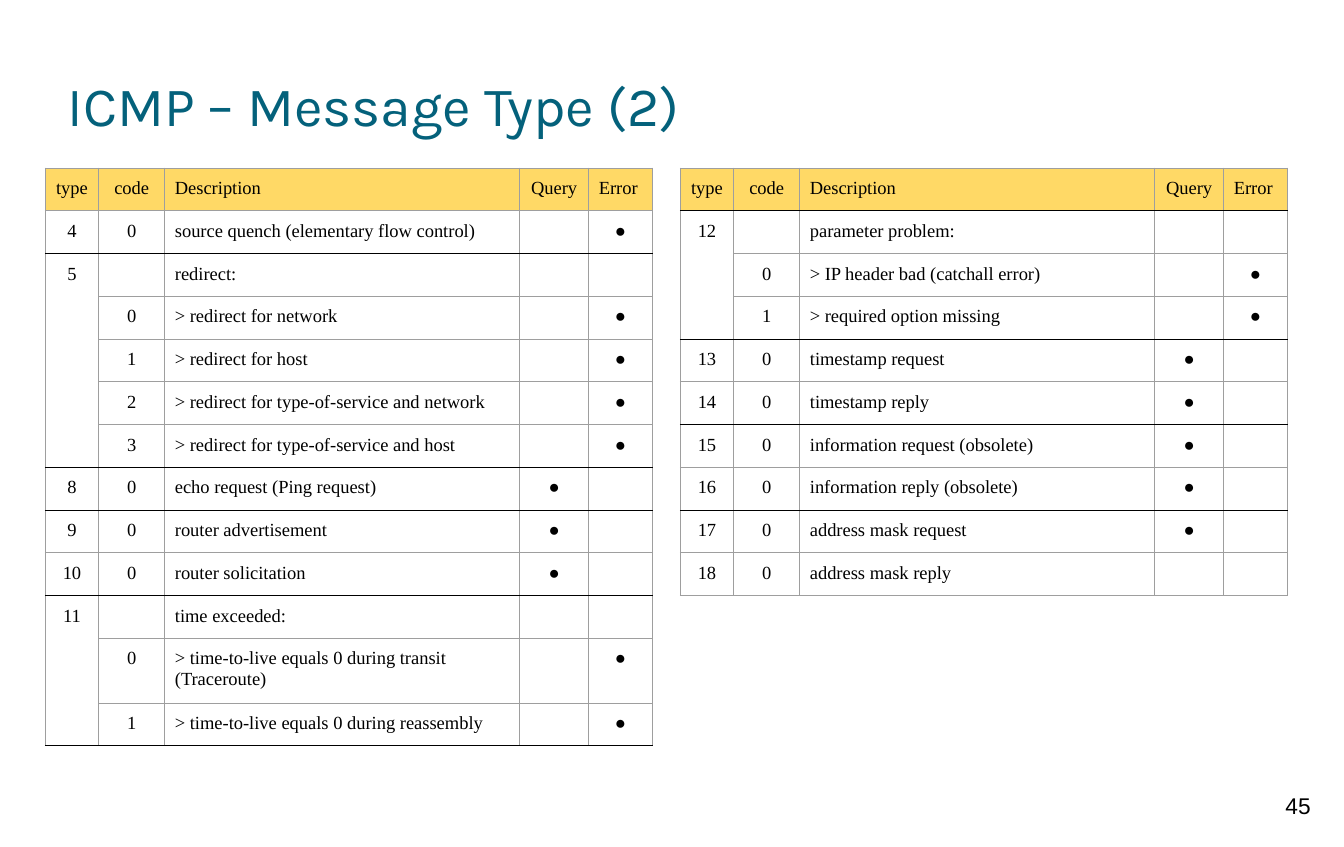
from lxml.etree import SubElement
from pptx import Presentation
from pptx.dml.color import RGBColor
from pptx.enum.text import MSO_ANCHOR, PP_ALIGN
from pptx.oxml.ns import qn
from pptx.util import Pt

TEAL = RGBColor(0x04, 0x61, 0x7B)
BLACK = RGBColor(0x00, 0x00, 0x00)
GREY = RGBColor(0x9E, 0x9E, 0x9E)
YELLOW = RGBColor(0xFF, 0xD9, 0x66)

HEADINGS = ("type", "code", "Description", "Query", "Error")
COLUMN_WIDTHS = (37.6, 46.4, 249.6, 48.5, 45)
QUERY, ERROR, NEITHER = ("●", ""), ("", "●"), ("", "")

# An empty type means that the row belongs to the type above it.
LEFT_MESSAGES = [
    ("4", "0", "source quench (elementary flow control)", *ERROR),
    ("5", "", "redirect:", *NEITHER),
    ("", "0", "> redirect for network", *ERROR),
    ("", "1", "> redirect for host", *ERROR),
    ("", "2", "> redirect for type-of-service and network", *ERROR),
    ("", "3", "> redirect for type-of-service and host", *ERROR),
    ("8", "0", "echo request (Ping request)", *QUERY),
    ("9", "0", "router advertisement", *QUERY),
    ("10", "0", "router solicitation", *QUERY),
    ("11", "", "time exceeded:", *NEITHER),
    ("", "0", "> time-to-live equals 0 during transit (Traceroute)", *ERROR),
    ("", "1", "> time-to-live equals 0 during reassembly", *ERROR),
]
RIGHT_MESSAGES = [
    ("12", "", "parameter problem:", *NEITHER),
    ("", "0", "> IP header bad (catchall error)", *ERROR),
    ("", "1", "> required option missing", *ERROR),
    ("13", "0", "timestamp request", *QUERY),
    ("14", "0", "timestamp reply", *QUERY),
    ("15", "0", "information request (obsolete)", *QUERY),
    ("16", "0", "information reply (obsolete)", *QUERY),
    ("17", "0", "address mask request", *QUERY),
    ("18", "0", "address mask reply", *NEITHER),
]


class SlideBuilder:
    table_font, table_size = "Times New Roman", 13
    row_height, border_width, padding = 28.75, 0.75, 7.2

    def __init__(self, slide):
        self.slide = slide

    def add_run(self, paragraph, text, font, size, color):
        run = paragraph.add_run()
        run.text = text
        run.font.name = font
        run.font.size = Pt(size)
        run.font.color.rgb = color

    def set_padding(self, target, padding):
        target.margin_left = target.margin_right = Pt(padding)
        target.margin_top = target.margin_bottom = Pt(padding)

    def text(self, text, box, font, size, color, padding=0,
             anchor=MSO_ANCHOR.TOP, align=PP_ALIGN.LEFT):
        shape = self.slide.shapes.add_textbox(*map(Pt, box))
        frame = shape.text_frame
        frame.word_wrap = True
        frame.vertical_anchor = anchor
        self.set_padding(frame, padding)
        paragraph = frame.paragraphs[0]
        paragraph.alignment = align
        self.add_run(paragraph, text, font, size, color)

    def borders(self, cell, top, bottom):
        properties = cell._tc.get_or_add_tcPr()
        for side, color in (("L", GREY), ("R", GREY), ("T", top), ("B", bottom)):
            line = SubElement(properties, qn(f"a:ln{side}"), w=str(Pt(self.border_width)))
            fill = SubElement(line, qn("a:solidFill"))
            SubElement(fill, qn("a:srgbClr"), val=str(color))

    def cell(self, cell, text, centered, top, bottom, fill):
        self.set_padding(cell, self.padding)
        self.borders(cell, top, bottom)
        if fill is None:
            cell.fill.background()
        else:
            cell.fill.solid()
            cell.fill.fore_color.rgb = fill
        paragraph = cell.text_frame.paragraphs[0]
        paragraph.alignment = PP_ALIGN.CENTER if centered else PP_ALIGN.LEFT
        if text:
            self.add_run(paragraph, text, self.table_font, self.table_size, BLACK)
        else:
            # Keeps an empty cell from stretching its row.
            SubElement(paragraph._p, qn("a:endParaRPr"), sz=str(self.table_size * 100))

    def message_table(self, left, top, messages, ruled_rows):
        """Draw a message table with a black line below each row in ruled_rows."""
        rows = [HEADINGS, *messages]
        frame = self.slide.shapes.add_table(
            len(rows), len(HEADINGS), Pt(left), Pt(top),
            Pt(sum(COLUMN_WIDTHS)), Pt(self.row_height * len(rows)))
        table = frame.table
        table.first_row = table.horz_banding = False
        for column, width in zip(table.columns, COLUMN_WIDTHS):
            column.width = Pt(width)
        for row in table.rows:
            row.height = Pt(self.row_height)

        for row_index, values in enumerate(rows):
            last_row = row_index
            while last_row + 1 < len(rows) and not rows[last_row + 1][0]:
                last_row += 1
            for column_index, text in enumerate(values):
                heading = HEADINGS[column_index]
                end = last_row if heading == "type" else row_index
                centered = heading != "Description" and text != "Error"
                self.cell(table.cell(row_index, column_index), text, centered,
                          BLACK if row_index - 1 in ruled_rows else GREY,
                          BLACK if end in ruled_rows else GREY,
                          YELLOW if row_index == 0 else None)
            if values[0] and last_row > row_index:
                table.cell(row_index, 0).merge(table.cell(last_row, 0))


def main():
    presentation = Presentation()
    presentation.slide_width = Pt(945)
    presentation.slide_height = Pt(595.5)
    builder = SlideBuilder(presentation.slides.add_slide(presentation.slide_layouts[6]))
    builder.text("45", (884.2, 549.4, 56.9, 45.4), "Arial", 16, BLACK,
                 padding=7.2, align=PP_ALIGN.CENTER)
    builder.text("ICMP – Message Type (2)", (47.5, 23.8, 850.3, 99.4), "Karla", 39, TEAL,
                 anchor=MSO_ANCHOR.MIDDLE)
    builder.message_table(31.8, 118.2, LEFT_MESSAGES, {1, 6, 7, 9, 12})
    builder.message_table(478.3, 118.2, RIGHT_MESSAGES, {0, 3, 5, 7})
    presentation.save("out.pptx")


if __name__ == "__main__":
    main()
